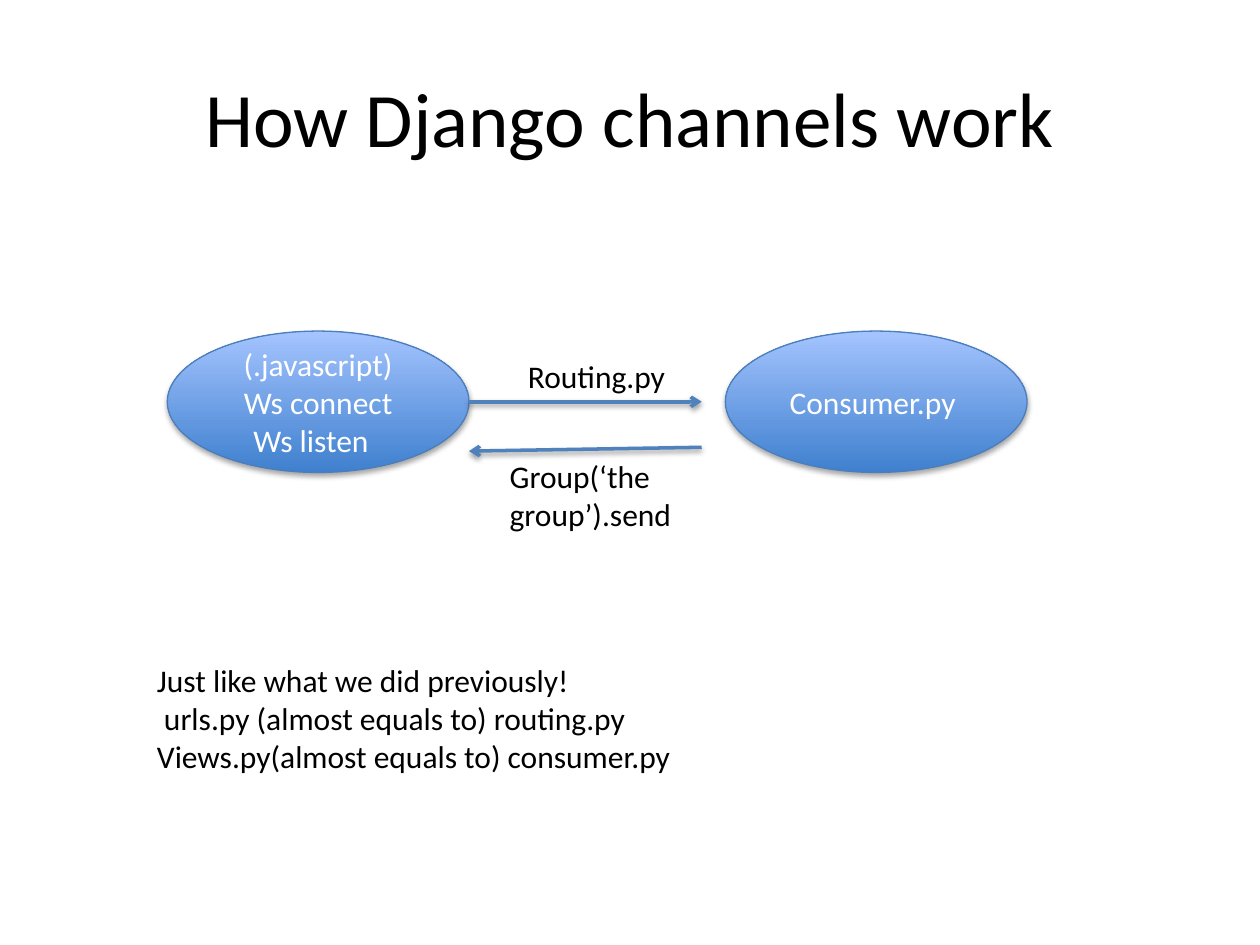
from lxml.etree import SubElement
from pptx import Presentation
from pptx.dml.color import RGBColor
from pptx.enum.shapes import MSO_CONNECTOR as Connector, MSO_SHAPE as Shape
from pptx.enum.text import MSO_ANCHOR as Anchor, PP_ALIGN as Align
from pptx.oxml.ns import qn
from pptx.util import Pt

COLORS = {
    "text": "000000",
    "node_text": "FFFFFF",
    "node_bottom": "3F80CE",
    "node_top": "A4C4FF",
    "node_line": "4B7EBC",
    "arrow": "4F81BD",
    "shadow": "000000",
}


def rgb(name):
    return RGBColor.from_string(COLORS[name])


def write(frame, text, size=18, color="text", align=Align.LEFT, anchor=Anchor.TOP):
    frame.word_wrap = True
    frame.vertical_anchor = anchor
    frame.text = text
    for paragraph in frame.paragraphs:
        paragraph.alignment = align
        font = paragraph.runs[0].font
        font.name = "Calibri"
        font.size = Pt(size)
        font.color.rgb = rgb(color)


def add_shadow(properties, distance, opacity):
    effects = SubElement(properties, qn("a:effectLst"))
    shadow = SubElement(effects, qn("a:outerShdw"), blurRad=str(Pt(3.1)),
                        dist=str(Pt(distance)), dir="5400000", rotWithShape="0")
    color = SubElement(shadow, qn("a:srgbClr"), val=COLORS["shadow"])
    SubElement(color, qn("a:alpha"), val=str(opacity * 1000))


class Diagram:
    def __init__(self, slide):
        self.slide = slide

    def title(self, text, left, top, width, height):
        heading = self.slide.shapes.title
        heading.left, heading.top = Pt(left), Pt(top)
        heading.width, heading.height = Pt(width), Pt(height)
        write(heading.text_frame, text, size=44, align=Align.CENTER, anchor=Anchor.MIDDLE)

    def node(self, text, left, top, width, height):
        oval = self.slide.shapes.add_shape(
            Shape.OVAL, Pt(left), Pt(top), Pt(width), Pt(height))
        oval.fill.gradient()
        oval.fill.gradient_angle = 90
        for stop, position, color in zip(
                oval.fill.gradient_stops, (0, 1), ("node_bottom", "node_top")):
            stop.position = position
            stop.color.rgb = rgb(color)
        oval.line.color.rgb = rgb("node_line")
        oval.line.width = Pt(0.75)
        add_shadow(oval._element.spPr, distance=1.8, opacity=35)
        write(oval.text_frame, text, color="node_text",
              align=Align.CENTER, anchor=Anchor.MIDDLE)

    def arrow(self, start, end):
        link = self.slide.shapes.add_connector(
            Connector.STRAIGHT, *(Pt(value) for value in (*start, *end)))
        link.line.color.rgb = rgb("arrow")
        link.line.width = Pt(2)
        SubElement(link.line._get_or_add_ln(), qn("a:tailEnd"), type="arrow")
        add_shadow(link._element.spPr, distance=1.6, opacity=38)

    def label(self, text, left, top, width, height):
        box = self.slide.shapes.add_textbox(Pt(left), Pt(top), Pt(width), Pt(height))
        write(box.text_frame, text)


def main():
    deck = Presentation()
    deck.slide_width, deck.slide_height = Pt(720), Pt(540)
    diagram = Diagram(deck.slides.add_slide(deck.slide_layouts[5]))

    diagram.title("How Django channels work", 36, 21.6, 648, 90)

    node_top, node_width, node_height = 189.2, 172.4, 80.8
    client_left, consumer_left = 95.6, 414.5
    diagram.node("Consumer.py ", consumer_left, node_top, node_width, node_height)
    diagram.node("(.javascript)\nWs connect\nWs listen  ",
                 client_left, node_top, node_width, node_height)

    client_edge, consumer_edge = client_left + node_width, 401
    request_y = node_top + node_height / 2
    diagram.arrow((client_edge, request_y), (consumer_edge, request_y))
    diagram.label("Routing.py", 294.6, 200.4, 150, 29)
    diagram.arrow((consumer_edge, 255.6), (client_edge, 257.8))
    diagram.label("Group(‘the group’).send", 284.2, 257.8, 150, 51)

    diagram.label("Just like what we did previously!\n"
                  " urls.py (almost equals to) routing.py\n"
                  "Views.py(almost equals to) consumer.py", 82.6, 374.4, 376.6, 72.7)

    deck.save("out.pptx")


if __name__ == "__main__":
    main()
